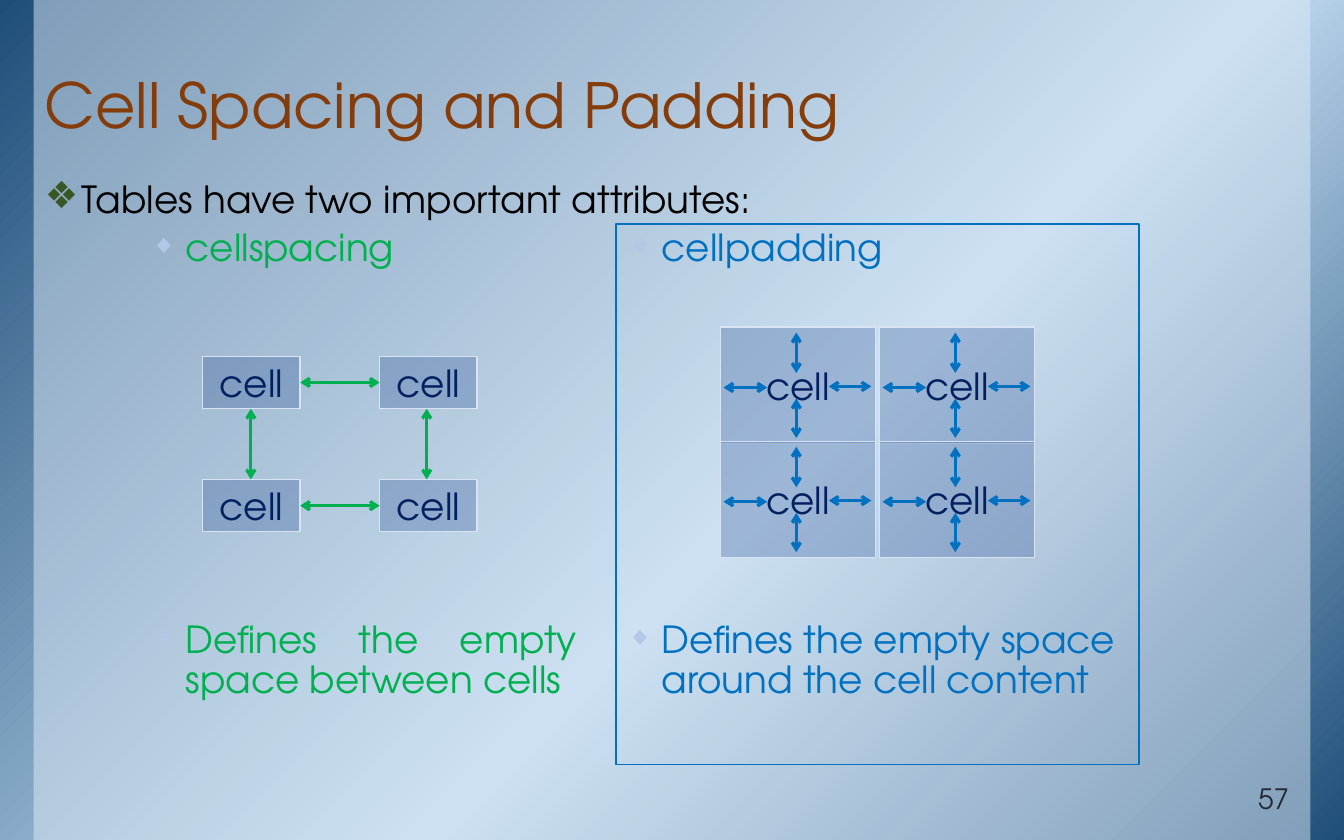
from copy import deepcopy

from lxml import etree
from pptx import Presentation
from pptx.dml.color import RGBColor
from pptx.enum.shapes import MSO_CONNECTOR, MSO_SHAPE
from pptx.enum.text import MSO_ANCHOR, MSO_AUTO_SIZE, PP_ALIGN
from pptx.oxml.ns import qn
from pptx.util import Inches, Pt

RECTANGLE, STRAIGHT = MSO_SHAPE.RECTANGLE, MSO_CONNECTOR.STRAIGHT
TOP, MIDDLE, BOTTOM = MSO_ANCHOR.TOP, MSO_ANCHOR.MIDDLE, MSO_ANCHOR.BOTTOM
LEFT, CENTER = PP_ALIGN.LEFT, PP_ALIGN.CENTER
RIGHT, JUSTIFY = PP_ALIGN.RIGHT, PP_ALIGN.JUSTIFY
FIXED_SIZE = MSO_AUTO_SIZE.NONE

COLORS = {
    "edge": "1F4E79", "glow": "BDD7EE", "panel": "DEEBF7",
    "title": "843C0B", "text": "000000", "number": "222A35",
    "spacing": "00B050", "padding": "0070C0",
    "cell": "2F5597", "cell line": "DAE3F3", "cell text": "002060",
    "main bullet": "385723", "sub bullet": "B4C7E7",
}
COLUMNS, ROWS = 120, 75
WIDE_INSETS = (0.13, 0.07)
SLIM_INSETS = (0.1, 0.05)


def color(name):
    return RGBColor.from_string(COLORS[name])


def add_element(parent, tag, **attributes):
    return etree.SubElement(parent, qn(tag), attributes)


class SlideBuilder:
    """Holds the style and the slide; places are columns and rows of its grid."""

    font = "TeX Gyre Adventor"

    def __init__(self, deck):
        self.page = deck.slides.add_slide(deck.slide_layouts[1])
        self.shapes = self.page.shapes
        self.column = deck.slide_width / COLUMNS
        self.row = deck.slide_height / ROWS

    def scale(self, place):
        """Turn column, row pairs into lengths."""
        return [round(value * (self.row if index % 2 else self.column))
                for index, value in enumerate(place)]

    def rectangle(self, place, fill=None, opacity=100, line=None):
        shape = self.shapes.add_shape(RECTANGLE, *self.scale(place))
        shape.shadow.inherit = False
        if fill:
            shape.fill.solid()
            shape.fill.fore_color.rgb = color(fill)
            tint = shape.fill._xPr.find(qn("a:solidFill"))[0]
            add_element(tint, "a:alpha", val=str(opacity * 1000))
        else:
            shape.fill.background()
        if line:
            shape.line.color.rgb = color(line)
            shape.line.width = Pt(0.75)
        else:
            shape.line.fill.background()
        return shape

    def backdrop(self):
        fill = self.rectangle((0, 0, COLUMNS, ROWS)).fill
        fill.gradient()
        fill.gradient_angle = 315
        stops = fill._xPr.find(qn("a:gradFill")).find(qn("a:gsLst"))
        stops.append(deepcopy(stops[0]))
        for stop, position, name in zip(fill.gradient_stops, (0, 0.58, 1),
                                        ("edge", "glow", "edge")):
            stop.position = position
            stop.color.rgb = color(name)
        self.rectangle((3, 0, 114, ROWS), "panel", 50)

    def placeholder(self, index, place):
        """Move a template placeholder to its place, in front of the backdrop."""
        box = self.page.placeholders[index]
        box.left, box.top, box.width, box.height = self.scale(place)
        self.shapes._spTree.append(box._element)
        return box

    def text_box(self, place):
        return self.shapes.add_textbox(*self.scale(place))

    def frame(self, box, anchor=TOP, insets=SLIM_INSETS, wrap=True):
        frame = box.text_frame
        frame.auto_size = FIXED_SIZE
        frame.word_wrap = wrap
        frame.vertical_anchor = anchor
        frame.margin_left = frame.margin_right = Inches(insets[0])
        frame.margin_top = frame.margin_bottom = Inches(insets[1])
        return frame

    def add_text(self, para, text, tint, size=24, align=LEFT,
                 spacing=1.0, before=0, after=0):
        para.alignment = align
        para.line_spacing = spacing
        para.space_before, para.space_after = Pt(before), Pt(after)
        span = para.add_run()
        span.text = text
        span.font.name = self.font
        span.font.size = Pt(size)
        span.font.color.rgb = color(tint)

    def bullet(self, para, symbol, tint, indent, percent=100):
        properties = para._p.get_or_add_pPr()
        properties.set("marL", str(Inches(indent)))
        properties.set("indent", str(-Inches(indent)))
        add_element(add_element(properties, "a:buClr"), "a:srgbClr", val=COLORS[tint])
        add_element(properties, "a:buSzPct", val=str(percent * 1000))
        add_element(properties, "a:buFont", typeface=self.font)
        add_element(properties, "a:buChar", char=symbol)

    def attribute_text(self, box, name, meaning, tint, align=LEFT):
        """Put an attribute at the top and its meaning below the diagram."""
        frame = self.frame(box)
        for para, text, before, side in (
                (frame.paragraphs[0], name, 6, LEFT),
                (frame.add_paragraph(), meaning, 220, align)):
            self.add_text(para, text, tint, align=side, spacing=0.9,
                          before=before, after=6)
            self.bullet(para, "◆", "sub bullet", 0.31, 70)

    def cell(self, place, insets=SLIM_INSETS):
        box = self.rectangle(place, "cell", 30, "cell line")
        frame = self.frame(box, MIDDLE, insets, wrap=False)
        self.add_text(frame.paragraphs[0], "cell", "cell text", align=CENTER)

    def arrow(self, ends, tint):
        """Draw a line with an arrowhead at both ends."""
        line = self.shapes.add_connector(STRAIGHT, *self.scale(ends))
        line.line.color.rgb = color(tint)
        line.line.width = Pt(2)
        outline = line.line._get_or_add_ln()
        add_element(outline, "a:headEnd", type="arrow")
        add_element(outline, "a:tailEnd", type="arrow")
        add_element(line._element.spPr, "a:effectLst")


def draw_spacing(slide):
    left, top, width, height = 18.1, 31.8, 8.7, 4.7
    right, bottom = left + 15.8, top + 11
    for x in (left, right):
        for y in (top, bottom):
            slide.cell((x, y, width, height))
    for y in (top, bottom):
        middle = y + height / 2
        slide.arrow((left + width, middle, right, middle), "spacing")
    for x in (22.4, 38.1):
        slide.arrow((x, top + height, x, bottom), "spacing")


def draw_padding(slide):
    arrows = ((6.8, 6.4, 6.8, 9.9), (0.3, 5.4, 4.2, 5.4),
              (9.7, 5.3, 13.5, 5.3), (6.8, 0.5, 6.8, 4.1))
    for x in (64.3, 78.5):
        for y in (29.2, 39.4):
            slide.cell((x, y, 13.9, 10.4), (0.39, 0.31))
            for x1, y1, x2, y2 in arrows:
                slide.arrow((x + x1, y + y1, x + x2, y + y2), "padding")


def main():
    deck = Presentation()
    deck.slide_width, deck.slide_height = Inches(12), Inches(7.5)
    slide = SlideBuilder(deck)
    slide.backdrop()

    title = slide.placeholder(0, (2.7, 0.8, 113.6, 12.5))
    para = slide.frame(title, BOTTOM, WIDE_INSETS).paragraphs[0]
    slide.add_text(para, "Cell Spacing and Padding", "title", 40, spacing=0.85)

    body = slide.placeholder(1, (2.7, 15, 113.6, 53.3))
    para = slide.frame(body, TOP, WIDE_INSETS).paragraphs[0]
    slide.add_text(para, "Tables have two important attributes:", "text",
                   align=JUSTIFY, after=6)
    slide.bullet(para, "❖", "main bullet", 0.33)

    number = slide.text_box((105.5, 70, 10.9, 3.5))
    para = slide.frame(number, BOTTOM, WIDE_INSETS).paragraphs[0]
    slide.add_text(para, "57", "number", 18, RIGHT)

    slide.attribute_text(slide.rectangle((55, 20, 46.7, 48.3), line="padding"),
                         "cellpadding",
                         "Defines the empty space around the cell content", "padding")
    slide.attribute_text(slide.text_box((12.5, 20, 40, 50)), "cellspacing",
                         "Defines the empty space between cells", "spacing", JUSTIFY)
    draw_spacing(slide)
    draw_padding(slide)
    deck.save("out.pptx")


if __name__ == "__main__":
    main()
